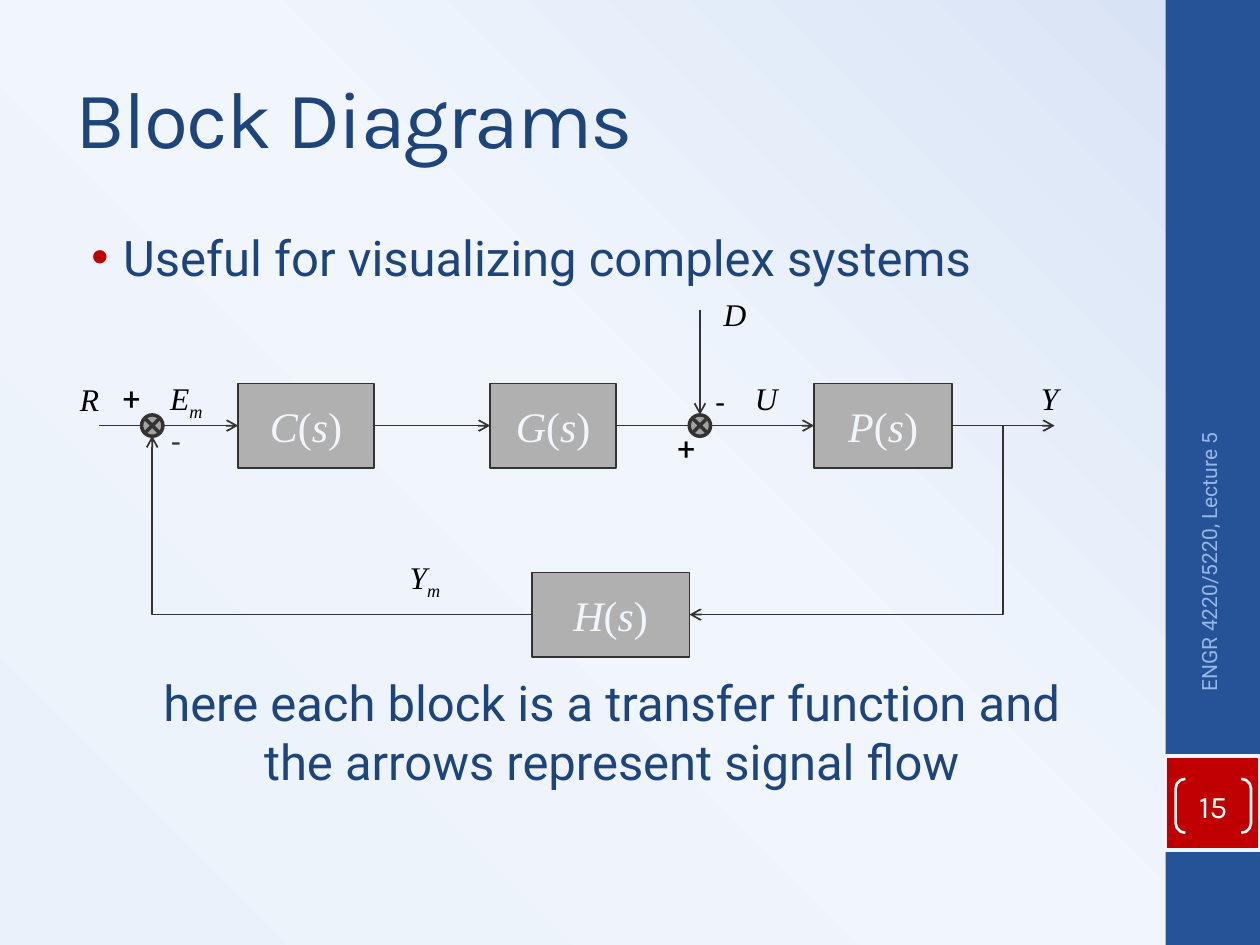
from dataclasses import dataclass

from pptx import Presentation
from pptx.dml.color import RGBColor
from pptx.enum.shapes import MSO_CONNECTOR, MSO_SHAPE
from pptx.enum.text import MSO_ANCHOR, MSO_AUTO_SIZE, PP_ALIGN
from pptx.oxml import parse_xml
from pptx.oxml.ns import nsdecls, qn
from pptx.util import Cm, Pt

RECTANGLE, BRACKETS = MSO_SHAPE.RECTANGLE, MSO_SHAPE.DOUBLE_BRACKET
JUNCTION = MSO_SHAPE.FLOWCHART_SUMMING_JUNCTION
STRAIGHT, ELBOW = MSO_CONNECTOR.STRAIGHT, MSO_CONNECTOR.ELBOW
LEFT, CENTER, RIGHT = PP_ALIGN.LEFT, PP_ALIGN.CENTER, PP_ALIGN.RIGHT
TOP, MIDDLE = MSO_ANCHOR.TOP, MSO_ANCHOR.MIDDLE
NO_FIT, FIT_SHAPE = MSO_AUTO_SIZE.NONE, MSO_AUTO_SIZE.SHAPE_TO_FIT_TEXT
LEFT_SIDE, RIGHT_SIDE = 1, 3

COLORS = {
    "bar": "265397", "red": "C00000", "pale": "F2F6FC", "heading": "1E447C",
    "footer": "98B7E5", "white": "FFFFFF", "block": "B0B0B0",
    "junction": "A3A3A3", "line": "333333", "black": "000000",
}
BACKGROUND_STOPS = {0: "EAF1FA", 52: "F1F6FD", 100: "D6E2F5"}
TITLE, BODY, MATH = "Karla", "Roboto", "Times New Roman"

FORWARD_Y, FEEDBACK_Y = 8.58, 12.39
BLOCK_HEIGHT, JUNCTION_SIZE, LABEL_HEIGHT = 1.7, 0.43, 1.02
ERROR_X, DISTURBANCE_X, BRANCH_X = 3.07, 14.11, 20.22


@dataclass
class Block:
    name: str
    left: float
    width: float
    middle: float = FORWARD_Y


@dataclass
class Label:
    text: str
    left: float
    top: float
    width: float
    subscript: str = ""
    font: str = MATH
    color: str = "black"


BLOCKS = [
    Block("C", 4.8, 2.74),
    Block("G", 9.88, 2.54),
    Block("P", 16.41, 2.79),
    Block("H", 10.72, 3.18, FEEDBACK_Y),
]
LABELS = [
    Label("R", 1.35, 7.54, 0.91),
    Label("+", 2.21, 7.52, 0.89, font=BODY),
    Label("-", 3.18, 8.38, 0.74, font=BODY, color="line"),
    Label("E", 3.15, 7.52, 1.22, "m"),
    Label("D", 14.33, 5.82, 0.97),
    Label("-", 14.15, 7.59, 0.74, font=BODY),
    Label("+", 13.39, 8.53, 0.89, font=BODY),
    Label("U", 14.96, 7.52, 0.97),
    Label("Y", 20.73, 7.52, 0.86),
    Label("Y", 7.98, 11.13, 1.17, "m"),
]


def rgb(name: str) -> RGBColor:
    return RGBColor.from_string(COLORS[name])


def set_values(target, values: dict) -> None:
    for name, value in values.items():
        setattr(target, name, value)


def add_run(paragraph, text: str, font: str, size: float, color: str, italic=False):
    run = paragraph.add_run()
    run.text = text
    set_values(run.font, {"name": font, "size": Pt(size), "italic": italic})
    run.font.color.rgb = rgb(color)
    return run


def place(shape, left: float, top: float, width: float, height: float) -> None:
    set_values(shape, {"left": Cm(left), "top": Cm(top),
                       "width": Cm(width), "height": Cm(height)})


def add_shape(slide, kind, box, fill=None, line=None, line_width=1.0):
    shape = slide.shapes.add_shape(kind, *map(Cm, box))
    shape.shadow.inherit = False
    if fill:
        shape.fill.solid()
        shape.fill.fore_color.rgb = rgb(fill)
    else:
        shape.fill.background()
    if line:
        shape.line.color.rgb = rgb(line)
        shape.line.width = Pt(line_width)
    else:
        shape.line.fill.background()
    return shape


def add_arrow(slide, start, end, kind=STRAIGHT, bend=None, source=None, target=None):
    """Draw an arrow; bend is the elbow's position as a share of its width."""
    connector = slide.shapes.add_connector(kind, *map(Cm, (*start, *end)))
    if source:
        connector.begin_connect(source, RIGHT_SIDE)
    if target:
        connector.end_connect(target, LEFT_SIDE)
    connector.line.color.rgb = rgb("line")
    connector.line.width = Pt(1)
    connector.line._get_or_add_ln().append(
        parse_xml(f'<a:tailEnd {nsdecls("a")} type="arrow"/>'))
    connector.element.spPr.append(parse_xml(f'<a:effectLst {nsdecls("a")}/>'))
    if bend is not None:
        connector.element.find(".//" + qn("a:avLst")).append(parse_xml(
            f'<a:gd {nsdecls("a")} name="adj1" fmla="val {round(bend * 100000)}"/>'))


def add_block(slide, block: Block):
    box = (block.left, block.middle - BLOCK_HEIGHT / 2, block.width, BLOCK_HEIGHT)
    shape = add_shape(slide, RECTANGLE, box, "block", "line")
    shape.text_frame.vertical_anchor = MIDDLE
    paragraph = shape.text_frame.paragraphs[0]
    paragraph.alignment = CENTER
    for text in (block.name, "(", "s", ")"):
        add_run(paragraph, text, MATH, 24, "pale", text.isalpha())
    return shape


def add_label(slide, label: Label) -> None:
    box = slide.shapes.add_textbox(
        *map(Cm, (label.left, label.top, label.width, LABEL_HEIGHT)))
    set_values(box.text_frame, {"word_wrap": False, "auto_size": FIT_SHAPE})
    paragraph = box.text_frame.paragraphs[0]
    paragraph.alignment = CENTER
    style = (label.font, 18, label.color, label.font == MATH)
    add_run(paragraph, label.text, *style)
    if label.subscript:
        run = add_run(paragraph, label.subscript, *style)
        run.font._element.set("baseline", "-25000")


def paint_background(slide) -> None:
    stops = "".join(
        f'<a:gs pos="{share * 1000}"><a:srgbClr val="{color}"/></a:gs>'
        for share, color in BACKGROUND_STOPS.items())
    slide.background.fill.solid()
    properties = slide.element.find(".//" + qn("p:bgPr"))
    properties.replace(properties[0], parse_xml(
        f'<a:gradFill {nsdecls("a")} rotWithShape="1"><a:gsLst>{stops}</a:gsLst>'
        '<a:path path="circle"><a:fillToRect t="100000" r="100000"/></a:path>'
        '</a:gradFill>'))


def add_side_bar(slide) -> None:
    add_shape(slide, RECTANGLE, (23.5, 0, 1.9, 19.05), "bar")
    add_shape(slide, RECTANGLE, (23.5, 15.24, 1.9, 1.9), "red", "pale", 2)
    course = slide.shapes.add_textbox(Cm(21.08), Cm(11.25), Cm(6.58), Cm(1.02))
    course.rotation = 270
    set_values(course.text_frame, {"word_wrap": True, "vertical_anchor": MIDDLE})
    paragraph = course.text_frame.paragraphs[0]
    paragraph.alignment = RIGHT
    add_run(paragraph, "ENGR 4220/5220, Lecture 5", BODY, 12, "footer")

    number = add_shape(slide, BRACKETS, (23.7, 15.7, 1.52, 1.09), None, "white", 1.5)
    number.adjustments[0] = 0.18
    margins = dict.fromkeys(
        ("margin_left", "margin_top", "margin_right", "margin_bottom"), 0)
    set_values(number.text_frame, {**margins, "vertical_anchor": MIDDLE})
    paragraph = number.text_frame.paragraphs[0]
    paragraph.alignment = CENTER
    add_run(paragraph, "15", TITLE, 18, "white")


def fill_placeholders(slide) -> None:
    title, body = slide.placeholders
    place(title, 1.27, 0.76, 21.16, 3.18)
    set_values(title.text_frame, {"vertical_anchor": MIDDLE, "auto_size": NO_FIT})
    paragraph = title.text_frame.paragraphs[0]
    paragraph.alignment = LEFT
    run = add_run(paragraph, "Block Diagrams", TITLE, 46, "heading")
    run.font._element.set("spc", "-100")

    place(body, 1.27, 4.45, 21.16, 13.34)
    set_values(body.text_frame, {"vertical_anchor": TOP, "auto_size": NO_FIT})
    bullet = (f'<a:buClr {nsdecls("a")}><a:srgbClr val="{COLORS["red"]}"/></a:buClr>',
              f'<a:buChar {nsdecls("a")} char="•"/>')
    no_bullet = (f'<a:buNone {nsdecls("a")}/>',)
    closing = "here each block is a transfer function and the arrows represent signal flow"
    paragraphs = [
        ("Useful for visualizing complex systems", LEFT, 0, -0.64, bullet),
        (closing, CENTER, 221, 0, no_bullet),
    ]
    for index, (text, alignment, space, indent, marks) in enumerate(paragraphs):
        frame = body.text_frame
        paragraph = frame.add_paragraph() if index else frame.paragraphs[0]
        set_values(paragraph, {"alignment": alignment, "space_before": Pt(space)})
        properties = paragraph._p.get_or_add_pPr()
        properties.set("marL", str(Cm(0.96)))
        properties.set("indent", str(Cm(indent)))
        for mark in marks:
            properties.append(parse_xml(mark))
        add_run(paragraph, text, BODY, 28, "heading")


def draw_diagram(slide) -> None:
    controller, gain, plant, sensor = [add_block(slide, block) for block in BLOCKS]
    links = [(None, controller), (controller, gain), (gain, plant), (plant, None)]
    for source, target in links:
        add_arrow(slide, (2, FORWARD_Y), (21.26, FORWARD_Y),
                  source=source, target=target)
    add_arrow(slide, (DISTURBANCE_X, 6.25), (DISTURBANCE_X, 8.36))

    start, end = 19.58, BLOCKS[-1].left + BLOCKS[-1].width
    add_arrow(slide, (start, FORWARD_Y), (end, FEEDBACK_Y), ELBOW,
              (start - BRANCH_X) / (start - end))
    add_arrow(slide, (BLOCKS[-1].left, FEEDBACK_Y), (ERROR_X, 8.79), ELBOW, 1)
    for center in (ERROR_X, DISTURBANCE_X):
        half = JUNCTION_SIZE / 2
        add_shape(slide, JUNCTION, (center - half, FORWARD_Y - half,
                                    JUNCTION_SIZE, JUNCTION_SIZE), "junction", "line", 2)
    for label in LABELS:
        add_label(slide, label)


def main() -> None:
    presentation = Presentation()
    set_values(presentation, {"slide_width": Cm(25.4), "slide_height": Cm(19.05)})
    slide = presentation.slides.add_slide(presentation.slide_layouts[1])
    paint_background(slide)
    add_side_bar(slide)
    fill_placeholders(slide)
    draw_diagram(slide)
    presentation.save("out.pptx")


if __name__ == "__main__":
    main()
